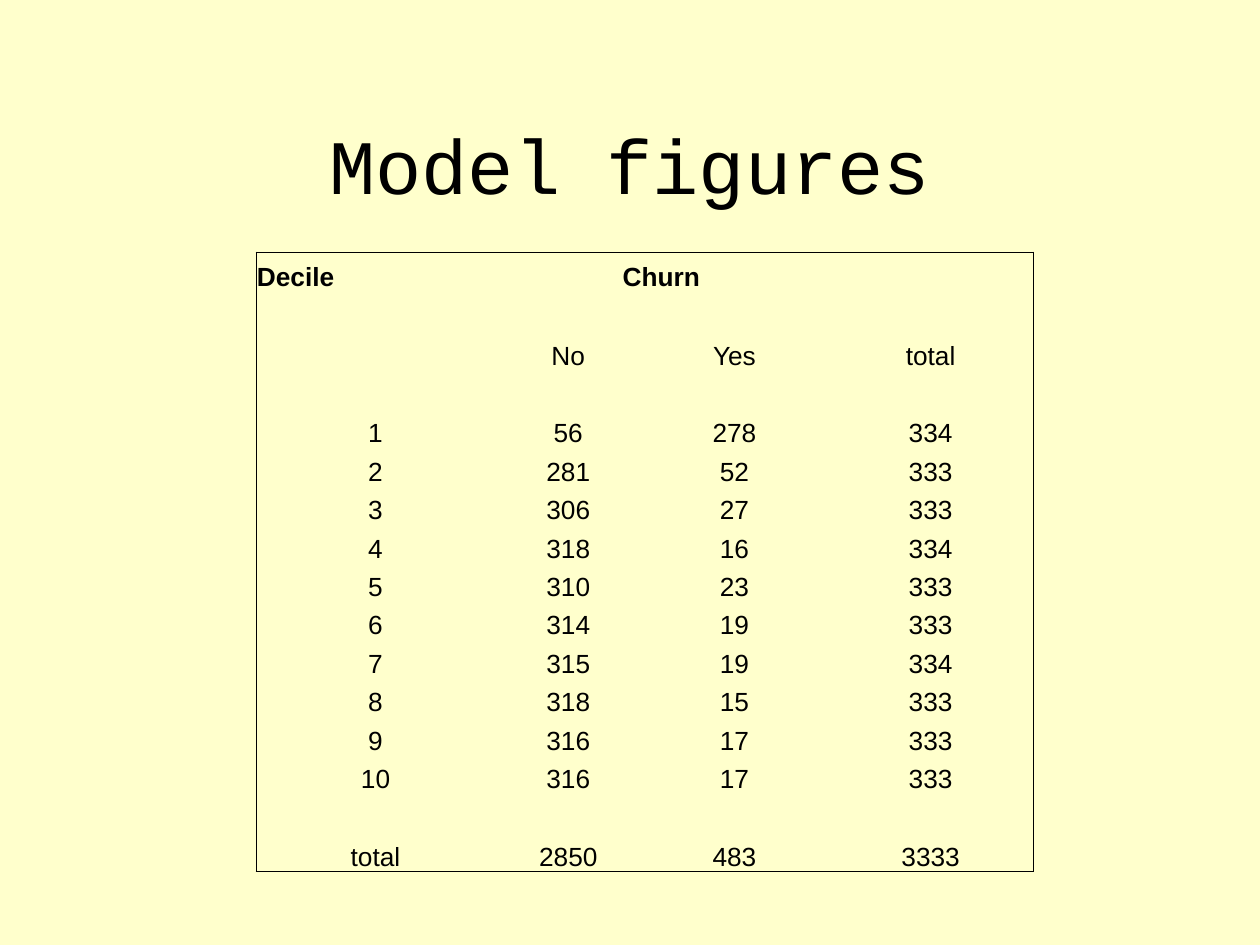
from lxml import etree
from pptx import Presentation
from pptx import util as u
from pptx.dml.color import RGBColor
from pptx.enum import text
from pptx.oxml.ns import qn

COLOURS = {"background": "FFFFCC", "ink": "000000"}
COLUMN_WIDTHS = [4.82, 2.95, 3.75, 4.16]
TABLE_HEIGHT = 12.39

# Churn counts (no, yes) for each decile
CHURN = [(56, 278), (281, 52), (306, 27), (318, 16), (310, 23),
         (314, 19), (315, 19), (318, 15), (316, 17), (316, 17)]


def colour(name):
    return RGBColor.from_string(COLOURS[name])


def format_text(frame, font, size, alignment, bold=False):
    for paragraph in frame.paragraphs:
        paragraph.alignment = alignment
        for run in paragraph.runs:
            run.font.name = font
            run.font.size = u.Pt(size)
            run.font.bold = bold
            run.font.color.rgb = colour("ink")


def add_title(slide, wording):
    title = slide.shapes.title
    title.left, title.top = u.Cm(1.9), u.Cm(1.7)
    title.width, title.height = u.Cm(21.6), u.Cm(3.18)
    title.text_frame.text = wording
    title.text_frame.vertical_anchor = text.MSO_ANCHOR.MIDDLE
    format_text(title.text_frame, "Courier New", 44, text.PP_ALIGN.CENTER)


def set_border(cell, side, visible):
    properties = cell._tc.get_or_add_tcPr()
    line = etree.SubElement(properties, qn(f"a:ln{side}"), w=str(u.Pt(0.5)))
    if visible:
        fill = etree.SubElement(line, qn("a:solidFill"))
        etree.SubElement(fill, qn("a:srgbClr"), val=COLOURS["ink"])
    else:
        etree.SubElement(line, qn("a:noFill"))


def figure_rows():
    deciles = [(number, no, yes, no + yes)
               for number, (no, yes) in enumerate(CHURN, start=1)]
    no_total, yes_total = map(sum, zip(*CHURN))
    blank = ("",) * 4
    return [("Decile", "Churn", "", ""), blank,
            ("", "No", "Yes", "total"), blank,
            *deciles, blank,
            ("total", no_total, yes_total, no_total + yes_total)]


def add_figures_table(slide, rows):
    last_row, last_column = len(rows) - 1, len(COLUMN_WIDTHS) - 1
    table = slide.shapes.add_table(
        len(rows), len(COLUMN_WIDTHS), u.Cm(5.16), u.Cm(5.08),
        u.Cm(sum(COLUMN_WIDTHS)), u.Cm(TABLE_HEIGHT)).table
    table.first_row = table.horz_banding = False
    for column, width in zip(table.columns, COLUMN_WIDTHS):
        column.width = u.Cm(width)

    for r, values in enumerate(rows):
        for c, value in enumerate(values):
            cell = table.cell(r, c)
            # Only the outer frame is drawn
            for side, visible in (("L", c == 0), ("R", c == last_column),
                                  ("T", r == 0), ("B", r == last_row)):
                set_border(cell, side, visible)
            cell.fill.background()
            cell.margin_left = cell.margin_right = cell.margin_top = u.Cm(0.02)
            cell.margin_bottom = 0
            cell.vertical_anchor = text.MSO_ANCHOR.BOTTOM
            cell.text_frame.text = str(value)
            alignment = (text.PP_ALIGN.LEFT if r == c == 0
                         else text.PP_ALIGN.CENTER)
            format_text(cell.text_frame, "Arial", 15, alignment, bold=r == 0)

    # "Churn" heads both the No and Yes columns
    table.cell(0, 1).merge(table.cell(0, 2))


def main():
    presentation = Presentation()
    presentation.slide_width, presentation.slide_height = u.Cm(25.4), u.Cm(19.05)
    slide = presentation.slides.add_slide(presentation.slide_layouts[5])
    slide.background.fill.solid()
    slide.background.fill.fore_color.rgb = colour("background")
    add_title(slide, "Model figures")
    add_figures_table(slide, figure_rows())
    presentation.save("out.pptx")


if __name__ == "__main__":
    main()
